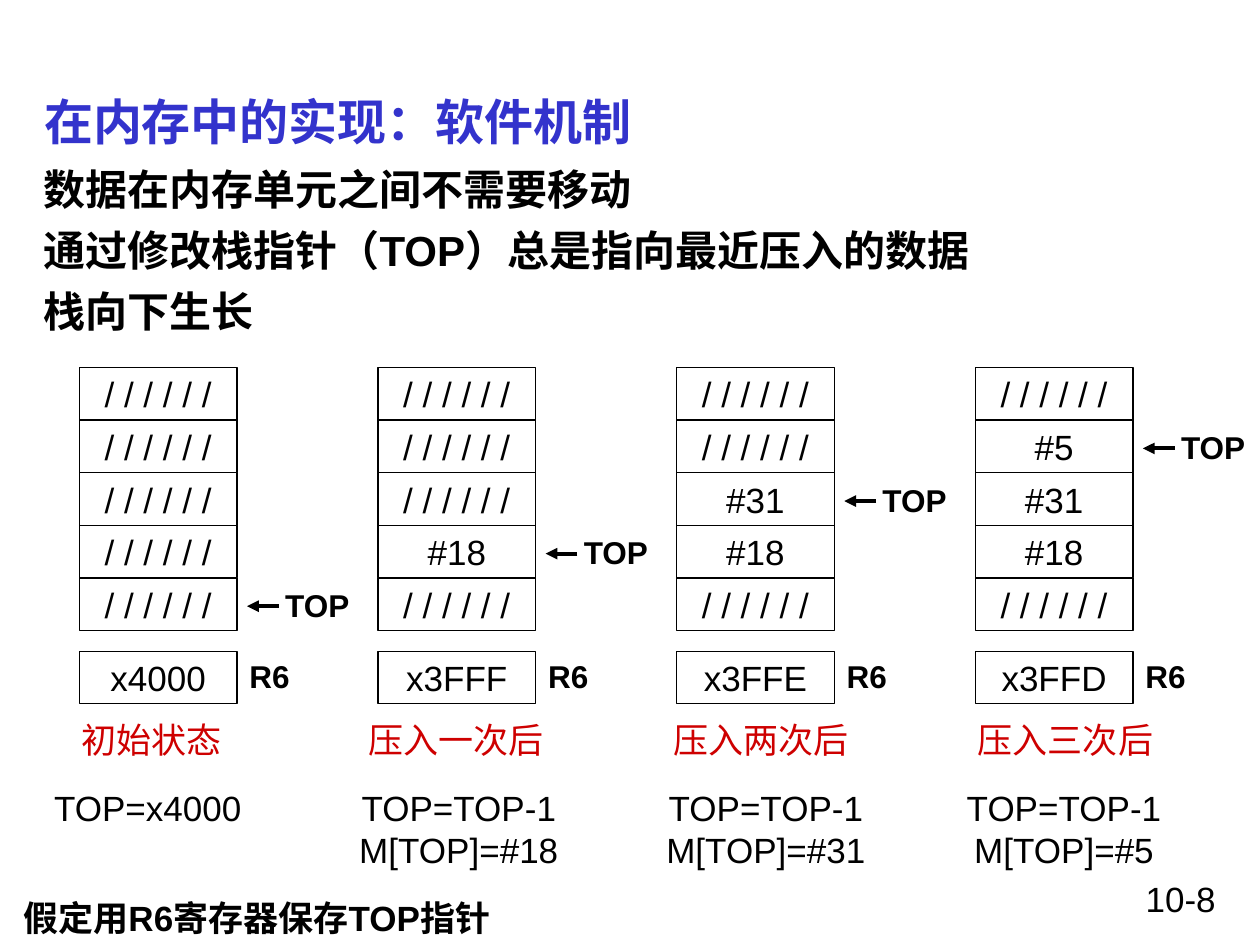
from dataclasses import dataclass

from lxml.etree import SubElement
from pptx import Presentation
from pptx.dml.color import RGBColor
from pptx.enum.shapes import MSO_CONNECTOR, MSO_SHAPE
from pptx.enum.text import MSO_ANCHOR, MSO_AUTO_SIZE, PP_ALIGN
from pptx.oxml.ns import qn
from pptx.slide import Slide
from pptx.text.text import TextFrame
from pptx.util import Cm, Pt

BLACK = RGBColor(0x00, 0x00, 0x00)
BLUE = RGBColor(0x33, 0x33, 0xCC)
RED = RGBColor(0xCE, 0x00, 0x00)

# Stack grid, in centimetres
STACK_LEFT, STACK_TOP, STACK_PITCH = 1.6, 7.41, 6.02
CELL_WIDTH, CELL_HEIGHT = 3.18, 1.06
REGISTER_TOP = 13.13
CAPTION_CENTER, CAPTION_PITCH = 3.06, 6.14
OPERATION_WIDTH = 4.8
UNUSED = "/ / / / / /"


@dataclass(frozen=True)
class TextStyle:
    size: int
    bold: bool = False
    color: RGBColor = BLACK
    align: PP_ALIGN = PP_ALIGN.LEFT
    space_before: int = 0


@dataclass(frozen=True)
class StackState:
    cells: tuple[str, ...]
    top_row: int
    register: str
    caption: str
    operations: tuple[str, ...]
    operations_center: float


TITLE = TextStyle(28, bold=True, color=BLUE)
BODY = TextStyle(24, bold=True, space_before=6)
CELL = TextStyle(20, align=PP_ALIGN.CENTER)
POINTER = TextStyle(18, bold=True)
CAPTION = TextStyle(20, color=RED, align=PP_ALIGN.CENTER)
FOOTNOTE = TextStyle(20, bold=True)
PAGE = TextStyle(20, align=PP_ALIGN.RIGHT)

STATES = (
    StackState((UNUSED,) * 5, 4, "x4000", "初始状态",
               ("TOP=x4000",), 2.98),
    StackState((UNUSED, UNUSED, UNUSED, "#18", UNUSED), 3, "x3FFF", "压入一次后",
               ("TOP=TOP-1", "M[TOP]=#18"), 9.25),
    StackState((UNUSED, UNUSED, "#31", "#18", UNUSED), 2, "x3FFE", "压入两次后",
               ("TOP=TOP-1", "M[TOP]=#31"), 15.44),
    StackState((UNUSED, "#5", "#31", "#18", UNUSED), 1, "x3FFD", "压入三次后",
               ("TOP=TOP-1", "M[TOP]=#5"), 21.45),
)


def write_lines(frame: TextFrame, lines: tuple[str, ...], style: TextStyle) -> None:
    font_format = {"name": "Arial", "size": Pt(style.size), "bold": style.bold}
    for index, line in enumerate(lines):
        paragraph = frame.paragraphs[0] if index == 0 else frame.add_paragraph()
        paragraph.alignment = style.align
        if index and style.space_before:
            paragraph.space_before = Pt(style.space_before)
        run = paragraph.add_run()
        run.text = line
        for attribute, value in font_format.items():
            setattr(run.font, attribute, value)
        run.font.color.rgb = style.color


def add_text(slide: Slide, left: float, top: float, width: float, height: float,
             lines: tuple[str, ...], style: TextStyle, wrap: bool = False,
             anchor: MSO_ANCHOR = MSO_ANCHOR.TOP) -> None:
    frame = slide.shapes.add_textbox(Cm(left), Cm(top), Cm(width), Cm(height)).text_frame
    frame_format = {
        "word_wrap": wrap,
        "vertical_anchor": anchor,
        "auto_size": MSO_AUTO_SIZE.NONE if wrap else MSO_AUTO_SIZE.SHAPE_TO_FIT_TEXT,
    }
    for attribute, value in frame_format.items():
        setattr(frame, attribute, value)
    write_lines(frame, lines, style)


def add_cell(slide: Slide, left: float, top: float, value: str) -> None:
    cell = slide.shapes.add_shape(MSO_SHAPE.RECTANGLE, Cm(left), Cm(top),
                                  Cm(CELL_WIDTH), Cm(CELL_HEIGHT))
    cell.shadow.inherit = False
    cell.fill.background()
    cell.line.color.rgb = BLACK
    cell.line.width = Pt(0.75)
    cell.text_frame.word_wrap = False
    cell.text_frame.vertical_anchor = MSO_ANCHOR.MIDDLE
    write_lines(cell.text_frame, (value,), CELL)


def add_pointer(slide: Slide, stack_left: float, row: int) -> None:
    tip = stack_left + 3.38
    middle = STACK_TOP + (row + 0.5) * CELL_HEIGHT + 0.04
    add_text(slide, stack_left + 3.9, middle - 0.53, 1.83, 1.02, ("TOP",), POINTER)
    arrow = slide.shapes.add_connector(MSO_CONNECTOR.STRAIGHT, Cm(tip + 0.64), Cm(middle),
                                       Cm(tip), Cm(middle))
    arrow.line.color.rgb = BLACK
    arrow.line.width = Pt(2.25)
    SubElement(arrow.line._get_or_add_ln(), qn("a:tailEnd"), type="triangle")
    SubElement(arrow._element.spPr, qn("a:effectLst"))


def add_state(slide: Slide, index: int, state: StackState) -> None:
    left = STACK_LEFT + index * STACK_PITCH
    for row, value in enumerate(state.cells):
        add_cell(slide, left, STACK_TOP + row * CELL_HEIGHT, value)
    add_pointer(slide, left, state.top_row)

    # Register below the stack
    add_cell(slide, left, REGISTER_TOP, state.register)
    add_text(slide, left + 3.18, REGISTER_TOP, 1.32, 1.02, ("R6",), POINTER)

    # Caption and operations
    caption_width = 0.72 * len(state.caption) + 0.7
    caption_left = CAPTION_CENTER + index * CAPTION_PITCH - caption_width / 2
    add_text(slide, caption_left, 14.35, caption_width, 1.11, (state.caption,), CAPTION)
    add_text(slide, state.operations_center - OPERATION_WIDTH / 2, 15.73, OPERATION_WIDTH,
             0.28 + 0.84 * len(state.operations), state.operations, CELL)


def main() -> None:
    presentation = Presentation()
    presentation.slide_width, presentation.slide_height = Cm(25.4), Cm(19.05)
    slide = presentation.slides.add_slide(presentation.slide_layouts[6])

    # Page number, title and body
    add_text(slide, 18.21, 17.57, 6.55, 1.07, ("10-8",), PAGE, wrap=True)
    add_text(slide, 0.64, 1.7, 24.13, 1.47, ("在内存中的实现：软件机制",), TITLE,
             wrap=True, anchor=MSO_ANCHOR.MIDDLE)
    add_text(slide, 0.63, 3.18, 24.13, 14.76,
             ("数据在内存单元之间不需要移动",
              "通过修改栈指针（TOP）总是指向最近压入的数据",
              "栈向下生长"), BODY, wrap=True)

    # Stack after each push
    for index, state in enumerate(STATES):
        add_state(slide, index, state)

    # Footnote
    add_text(slide, 0.22, 17.94, 10.64, 1.11, ("假定用R6寄存器保存TOP指针",), FOOTNOTE)

    presentation.save("out.pptx")


if __name__ == "__main__":
    main()
